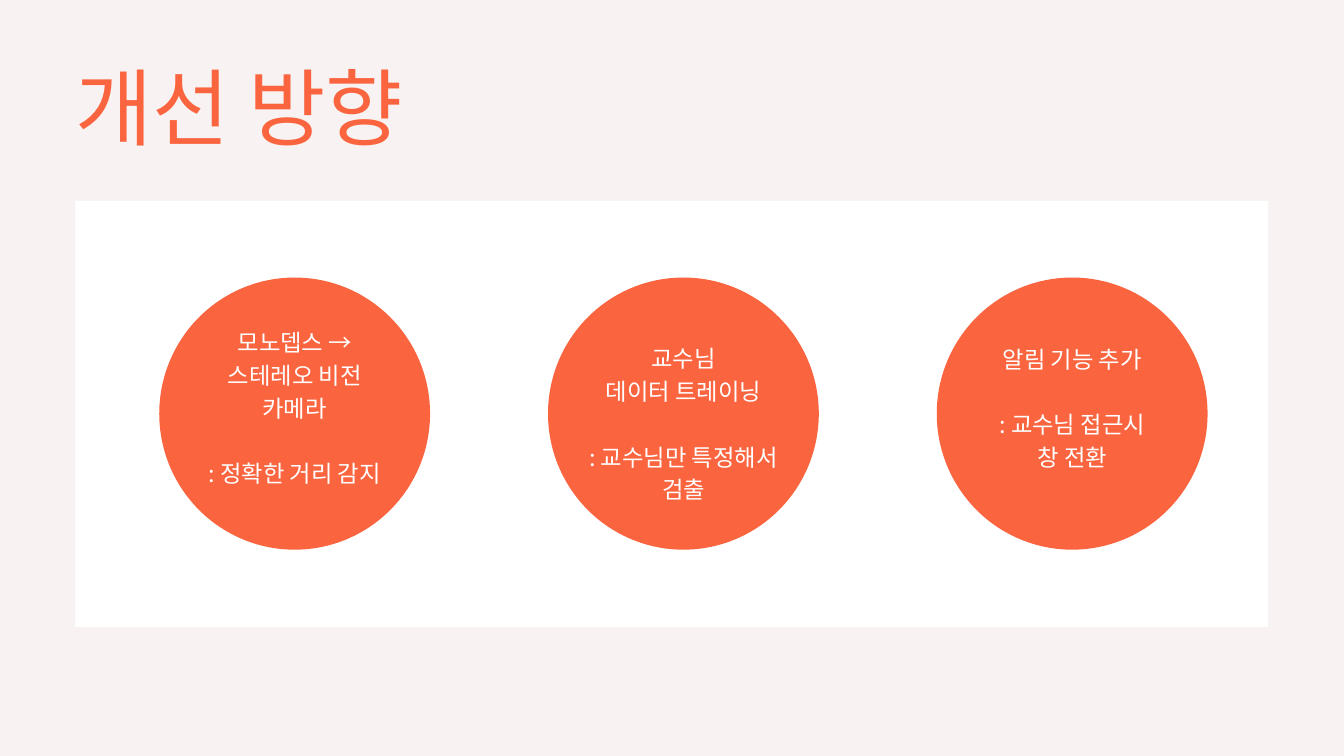
"""Build the slide on directions for improvement."""
import pptx
import pptx.dml.color
import pptx.enum.shapes
import pptx.enum.text
import pptx.util
from pptx.util import Inches

ORANGE = "FA643F"
WHITE = "FFFFFF"
BACKDROP = "F8F3F2"
LATIN = "Calibri"
KOREAN = "Noto Sans CJK KR"
LINE = 35
FIRST_LEFT = 2.37
PITCH = 5.785

IMPROVEMENTS = [
    (4.27, [("모노뎁스 → 스테레오 비전 카메라", LATIN, 0),
            (": 정확한 거리 감지", KOREAN, LINE)]),
    (4.51, [("교수님", LATIN, 0),
            ("데이터 트레이닝", LATIN, 0),
            (": 교수님만 특정해서 검출", KOREAN, LINE)]),
    (4.27, [("알림 기능 추가", LATIN, 0),
            (": 교수님 접근시", KOREAN, LINE),
            ("창 전환", LATIN, 0)]),
]


def paint(fill, color):
    """Give a fill one solid colour."""
    fill.solid()
    fill.fore_color.rgb = pptx.dml.color.RGBColor.from_string(color)


def write(paragraph, text, *, size, color, font=LATIN, align="LEFT", line=LINE, before=0):
    """Put formatted text in a paragraph."""
    paragraph.alignment = getattr(pptx.enum.text.PP_ALIGN, align)
    paragraph.line_spacing = pptx.util.Pt(line)
    paragraph.space_before = pptx.util.Pt(before)
    run = paragraph.add_run()
    run.text = text
    run.font.name = font
    run.font.size = pptx.util.Pt(size)
    paint(run.font.fill, color)


def set_frame(frame, inset, anchor):
    """Set wrapping, insets and anchor of a text frame."""
    frame.word_wrap = True
    frame.auto_size = pptx.enum.text.MSO_AUTO_SIZE.NONE
    frame.vertical_anchor = anchor
    frame.margin_left = frame.margin_right = Inches(inset)
    frame.margin_top = frame.margin_bottom = Inches(inset)


def add_block(shapes, kind, left, top, width, height, color):
    """Add a plain filled shape without outline."""
    block = shapes.add_shape(kind, Inches(left), Inches(top), Inches(width), Inches(height))
    block.shadow.inherit = False
    paint(block.fill, color)
    block.line.fill.background()


def add_title(slide, text):
    """Fill and place the title."""
    title = slide.shapes.title
    title.left, title.top = Inches(1.12), Inches(0.82)
    title.width, title.height = Inches(13.5), Inches(1.51)
    set_frame(title.text_frame, 0, pptx.enum.text.MSO_ANCHOR.TOP)
    write(title.text_frame.paragraphs[0], text, size=90, color=ORANGE, line=108)


def add_improvement(slide, left, text_top, lines):
    """Add a circle grouped with its centred text."""
    group = slide.shapes.add_group_shape()
    add_block(group.shapes, pptx.enum.shapes.MSO_SHAPE.OVAL, left, 4.13, 4.03, 4.05, ORANGE)
    label = group.shapes.add_textbox(
        Inches(left + 0.37), Inches(text_top), Inches(3.29), Inches(3.53))
    frame = label.text_frame
    set_frame(frame, 0.21, pptx.enum.text.MSO_ANCHOR.MIDDLE)
    for index, (text, font, before) in enumerate(lines):
        paragraph = frame.add_paragraph() if index else frame.paragraphs[0]
        write(paragraph, text, size=25, color=WHITE, font=font, align="CENTER", before=before)


def main():
    """Build and save the slide."""
    deck = pptx.Presentation()
    deck.slide_width, deck.slide_height = Inches(20), Inches(11.25)
    slide = deck.slides.add_slide(deck.slide_layouts[5])
    paint(slide.background.fill, BACKDROP)
    add_title(slide, "개선 방향")
    add_block(slide.shapes, pptx.enum.shapes.MSO_SHAPE.RECTANGLE, 1.12, 2.99, 17.75, 6.34, WHITE)
    for index, (text_top, lines) in enumerate(IMPROVEMENTS):
        add_improvement(slide, FIRST_LEFT + index * PITCH, text_top, lines)
    deck.save("out.pptx")


if __name__ == "__main__":
    main()
